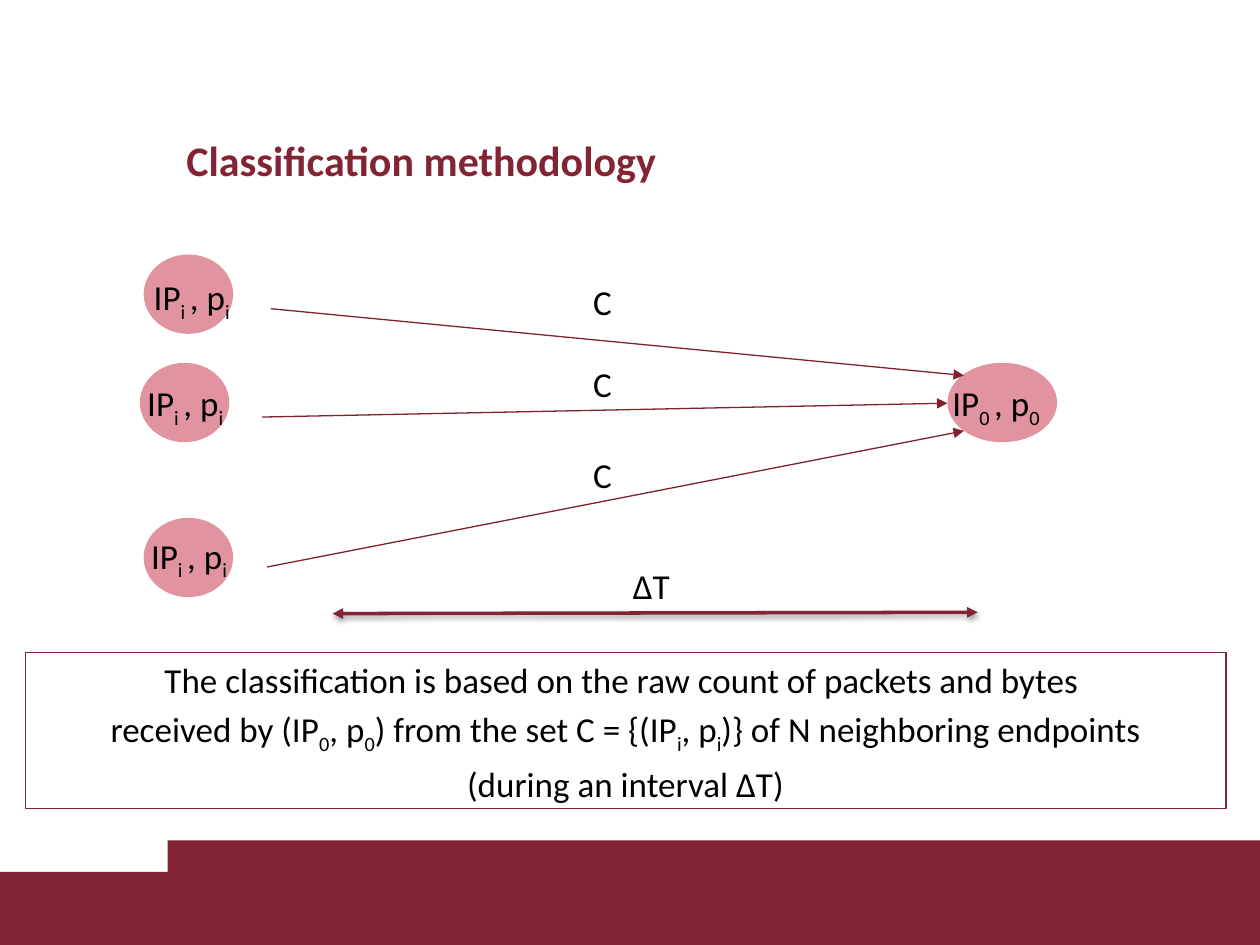
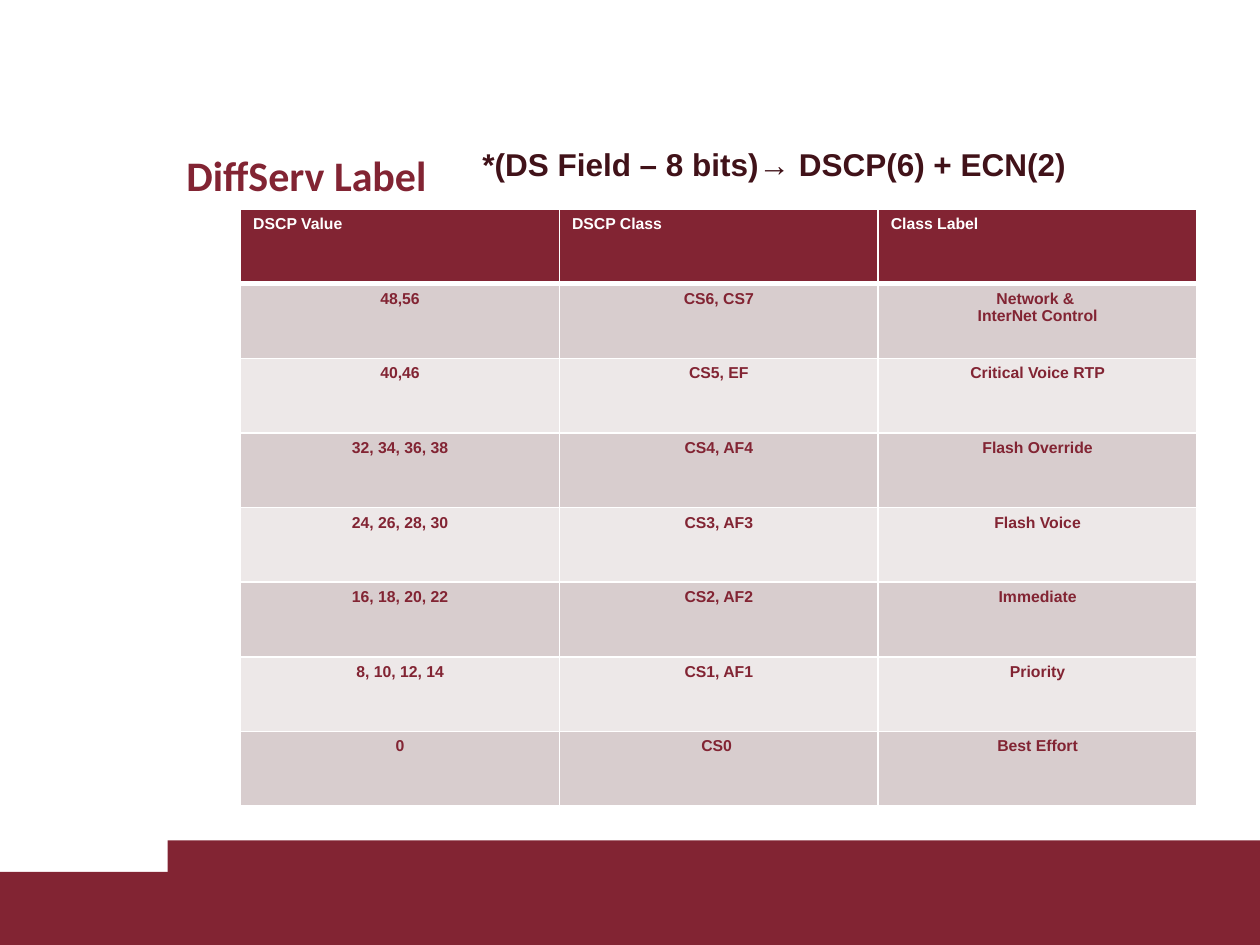
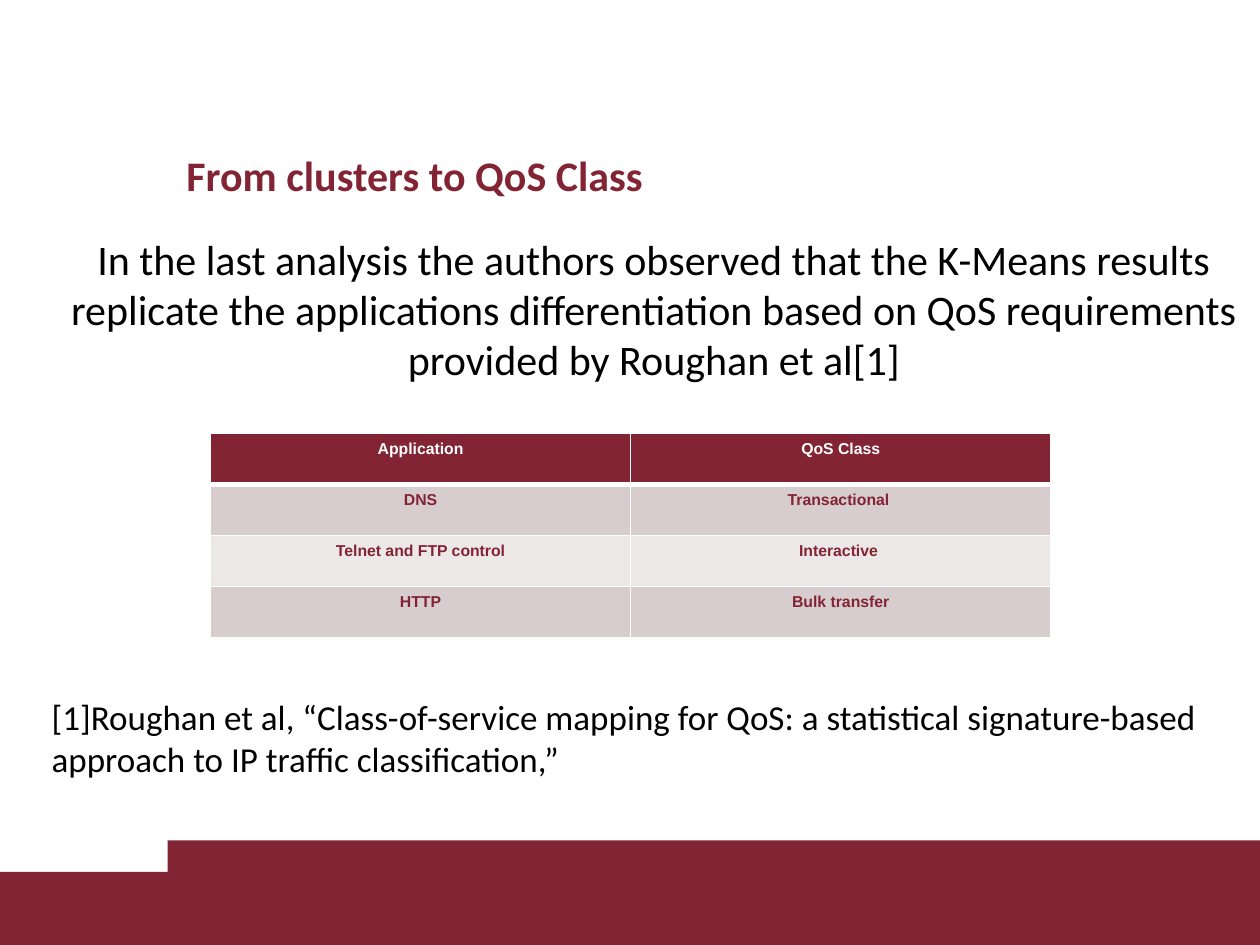
from dataclasses import dataclass

from lxml import etree
from pptx import Presentation
from pptx.dml.color import RGBColor
from pptx.enum.shapes import MSO_CONNECTOR, MSO_SHAPE
from pptx.enum.text import MSO_ANCHOR, MSO_AUTO_SIZE, PP_ALIGN
from pptx.oxml.ns import qn
from pptx.util import Inches, Pt

LEFT, MID = PP_ALIGN.LEFT, PP_ALIGN.CENTER
RECT, NODE = MSO_SHAPE.RECTANGLE, MSO_SHAPE.FLOWCHART_CONNECTOR
LINE = MSO_CONNECTOR.STRAIGHT
TOP, CENTRE = MSO_ANCHOR.TOP, MSO_ANCHOR.MIDDLE
FIXED = MSO_AUTO_SIZE.NONE


@dataclass(frozen=True)
class Theme:
    """Colours, fonts and type sizes of the deck."""
    wine: str = "822433"
    edge: str = "812130"
    rose: str = "E193A0"
    dark: str = "411219"
    ink: str = "000000"
    white: str = "FFFFFF"
    odd: str = "D8CDCE"
    even: str = "EDE8E8"
    sans: str = "Calibri"
    grid: str = "Arial"
    head: int = 24
    text: int = 20
    side: int = 18
    cell: int = 9


@dataclass(frozen=True)
class Box:
    """A region in inches."""
    x: float
    y: float
    w: float
    h: float

    def inner(self, x, y, w, h):
        """Return a box placed relative to this one."""
        return Box(self.x + x, self.y + y, w, h)

    def emu(self):
        """Return left, top, width and height as lengths."""
        return [Inches(v) for v in (self.x, self.y, self.w, self.h)]


T = Theme()


def place(shape, box):
    """Move a shape into a box."""
    shape.left, shape.top, shape.width, shape.height = box.emu()


def style(para, size, color=T.ink, font=T.sans, bold=False, align=LEFT):
    """Format a paragraph and its runs."""
    para.alignment = align
    for run in para.runs:
        run.font.size, run.font.name, run.font.bold = Pt(size), font, bold
        run.font.color.rgb = RGBColor.from_string(color)


def fill_subs(para, text):
    """Write text in which every second piece between bars is a subscript."""
    for i, piece in enumerate(text.split("|")):
        run = para.add_run()
        run.text = piece
        if i % 2:
            run.font._element.set("baseline", "-25000")


def write(shape, lines, align=LEFT):
    """Fill a shape with lines of main text."""
    frame = shape.text_frame
    frame.word_wrap, frame.vertical_anchor = True, TOP
    frame.auto_size = FIXED
    for i, line in enumerate(lines):
        para = frame.add_paragraph() if i else frame.paragraphs[0]
        fill_subs(para, line)
        para.space_before = Pt(T.text * 0.2)
        style(para, T.text, align=align)


def label(slide, box, text, align=LEFT):
    """Add a text box with one line."""
    write(slide.shapes.add_textbox(*box.emu()), [text], align)


def solid(slide, kind, box, color):
    """Add a filled shape without outline."""
    shape = slide.shapes.add_shape(kind, *box.emu())
    shape.shadow.inherit = False
    shape.fill.solid()
    shape.fill.fore_color.rgb = RGBColor.from_string(color)
    shape.line.fill.background()
    return shape


def arrow(slide, box, start, end, color, width, ends=("tailEnd",)):
    """Draw an arrow between two points of a box and return its effects."""
    (a, b), (c, d) = start, end
    link = slide.shapes.add_connector(
        LINE, Inches(box.x + a), Inches(box.y + b), Inches(box.x + c), Inches(box.y + d))
    link.line.color.rgb = RGBColor.from_string(color)
    link.line.width = Pt(width)
    for name in ends:
        etree.SubElement(link.line._get_or_add_ln(), qn("a:" + name), type="triangle")
    return etree.SubElement(link._element.spPr, qn("a:effectLst"))


def plain(para):
    """Remove the bullet and indent of a paragraph."""
    props = para._p.get_or_add_pPr()
    props.set("marL", "0")
    props.set("indent", "0")
    etree.SubElement(props, qn("a:buNone"))


def bands(deck, slide):
    """Put the footer bands on the master."""
    tree = deck.slide_master.shapes._spTree
    for i, box in enumerate((Box(0, 6.92, 10, 0.58), Box(1.33, 6.67, 8.67, 0.83))):
        tree.insert(2 + i, solid(slide, RECT, box, T.wine)._element)


def title(slide, text, top=1.11):
    """Set the slide title."""
    head = slide.shapes.title
    place(head, Box(1.38, top, 8.11, 0.55))
    frame = head.text_frame
    frame.text = text
    frame.vertical_anchor, frame.auto_size = CENTRE, FIXED
    style(frame.paragraphs[0], T.head, T.wine, bold=True)


def graph(slide, box):
    """Draw the source nodes, the target node and the links."""
    hub = box.inner(6.45, 0.86, 0.87, 0.63)
    solid(slide, NODE, hub, T.rose)
    rows = (
        ((0.07, 0), (0.05, 0.12), (1.08, 0.43), (6.58, 0.96), 0.16),
        ((0.04, 0.86), (0, 0.96), (1.01, 1.29), (6.45, 1.18), 0.81),
        ((0.07, 2.09), (0.03, 2.17), (1.05, 2.48), (6.58, 1.4), 1.53),
    )
    body = slide.placeholders[1]
    for i, (dot, tag, start, end, mark) in enumerate(rows):
        solid(slide, NODE, box.inner(*dot, 0.71, 0.63), T.rose)
        spot = box.inner(*tag, 1.02, 0.63)
        if i:
            label(slide, spot, "IP|i |, p|i")
        else:
            place(body, spot)
            write(body, ["IP|i |, p|i"])
            plain(body.text_frame.paragraphs[0])
            slide.shapes._spTree.append(body._element)
        arrow(slide, box, start, end, T.edge, 0.75)
        label(slide, box.inner(3.54, mark, 0.39, 0.63), "C")
    label(slide, box.inner(6.39, 0.96, 1.02, 0.63), "IP|0 |, p|0")


def span(slide, box):
    """Draw the time interval with its shadowed double arrow."""
    label(slide, box.inner(1.33, 0, 2.46, 0.63), "\u0394T ", MID)
    glow = arrow(slide, box, (0, 0.44), (box.w, 0.43), T.wine, 2, ("headEnd", "tailEnd"))
    drop = etree.SubElement(glow, qn("a:outerShdw"), blurRad=str(Pt(3.1)),
                            dist=str(Pt(1.6)), dir="5400000", rotWithShape="0")
    tint = etree.SubElement(drop, qn("a:srgbClr"), val=T.ink)
    etree.SubElement(tint, qn("a:alpha"), val="38000")


def note(slide, box, lines):
    """Add the outlined statement."""
    shape = slide.shapes.add_shape(RECT, *box.emu())
    shape.shadow.inherit = False
    shape.fill.background()
    shape.line.color.rgb = RGBColor.from_string(T.wine)
    shape.line.width = Pt(0.75)
    write(shape, lines, MID)


def border(cell, low):
    """Give a cell white borders."""
    props = cell._tc.get_or_add_tcPr()
    for side, width in (("L", 1), ("R", 1), ("T", 1), ("B", low)):
        line = etree.SubElement(props, qn("a:ln" + side), w=str(Pt(width)))
        paint = etree.SubElement(line, qn("a:solidFill"))
        etree.SubElement(paint, qn("a:srgbClr"), val=T.white)


def table(slide, box, rows, top=MID):
    """Add a banded table with a header row."""
    grid = slide.shapes.add_table(len(rows), len(rows[0]), *box.emu()).table
    for i, row in enumerate(rows):
        back = (T.odd if i % 2 else T.even) if i else T.wine
        for j, text in enumerate(row):
            cell = grid.cell(i, j)
            border(cell, 1 if i else 3)
            cell.fill.solid()
            cell.fill.fore_color.rgb = RGBColor.from_string(back)
            cell.text_frame.text = text
            for para in cell.text_frame.paragraphs:
                style(para, T.cell, T.wine if i else T.white, T.grid, True, MID if i else top)


def story(slide, box, lead, cite):
    """Fill the body with a centred lead and a reference low down."""
    body = slide.placeholders[1]
    place(body, box)
    frame = body.text_frame
    frame.auto_size = FIXED
    frame.text = lead
    first, last = frame.paragraphs[0], frame.add_paragraph()
    last.text = cite
    last.space_before = Pt(178)
    style(first, T.head, align=MID)
    style(last, T.text)
    plain(first)
    plain(last)


def method(slide):
    """Build the methodology slide."""
    title(slide, "Classification methodology", 0.99)
    graph(slide, Box(1.07, 2.02, 7.41, 2.79))
    span(slide, Box(2.64, 4.43, 5.12, 0.63))
    note(slide, Box(0.2, 5.18, 9.53, 1.24), [
        "The classification is based on the raw count of packets and bytes ",
        "received by (IP|0|, p|0|) from the set C = {(IP|i|, p|i|)} of N neighboring endpoints",
        "(during an interval \u2206T)",
    ])


def labels(slide):
    """Build the label slide."""
    title(slide, "DiffServ Label")
    table(slide, Box(1.91, 1.66, 7.59, 4.74), [
        ("DSCP Value", "DSCP Class", "Class Label"),
        ("48,56", "CS6, CS7", "Network & \nInterNet Control"),
        ("40,46", "CS5, EF", "Critical Voice RTP"),
        ("32, 34, 36, 38", "CS4, AF4", "Flash Override"),
        ("24, 26, 28, 30", "CS3, AF3", "Flash Voice"),
        ("16, 18, 20, 22", "CS2, AF2", "Immediate"),
        ("8, 10, 12, 14", "CS1, AF1", "Priority"),
        ("0", "CS0 ", "Best Effort"),
    ], LEFT)
    side = slide.shapes.add_textbox(*Box(3.73, 1.1, 5.75, 0.4).emu())
    side.text_frame.word_wrap = True
    side.text_frame.text = "*(DS Field \u2013 8 bits)\u2192 DSCP(6) + ECN(2)"
    style(side.text_frame.paragraphs[0], T.side, T.dark, T.grid, True)


def classes(slide):
    """Build the service class slide."""
    title(slide, "From clusters to QoS Class")
    story(
        slide, Box(0.31, 1.8, 9.76, 4.71),
        "In the last analysis the authors observed that the K-Means results replicate "
        "the applications differentiation based on QoS requirements provided by "
        "Roughan et al[1]",
        "[1]Roughan et al, \u201cClass-of-service mapping for QoS: a statistical "
        "signature-based approach to IP traffic classification,\u201d")
    table(slide, Box(1.67, 3.44, 6.67, 1.62), [
        ("Application", "QoS Class"),
        ("DNS", "Transactional "),
        ("Telnet and FTP control", "Interactive "),
        ("HTTP", "Bulk transfer"),
    ])


def main():
    """Build and save the deck."""
    deck = Presentation()
    deck.slide_width, deck.slide_height = Inches(10), Inches(7.5)
    for i, (build, kind) in enumerate(((method, 1), (labels, 5), (classes, 1))):
        slide = deck.slides.add_slide(deck.slide_layouts[kind])
        if not i:
            bands(deck, slide)
        build(slide)
    deck.save("out.pptx")


main()
